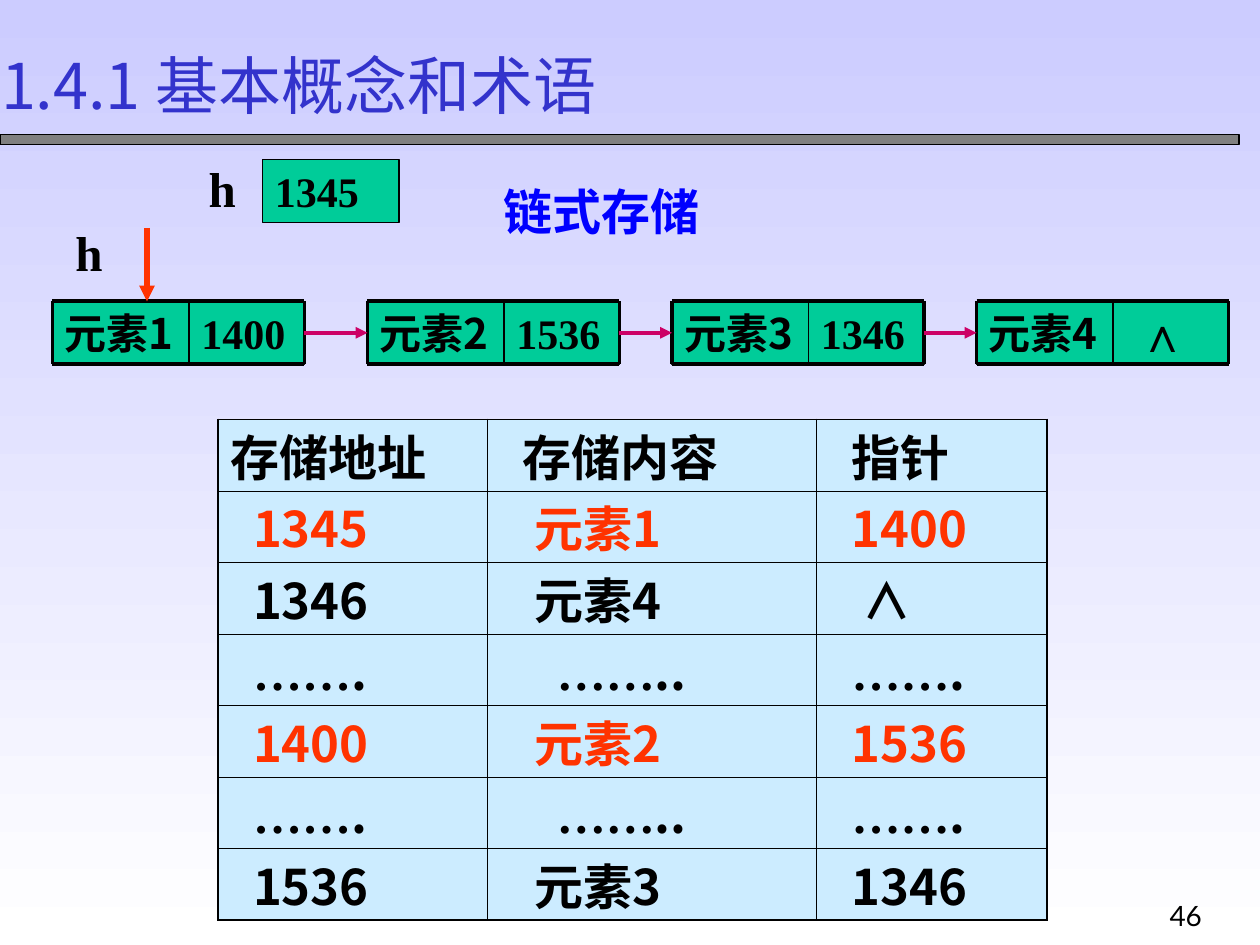
from lxml import etree
from pptx import Presentation
from pptx import util as u
from pptx.dml.color import RGBColor
from pptx.enum import shapes, text
from pptx.oxml import ns

BLACK = RGBColor(0x00, 0x00, 0x00)
GREY = RGBColor(0x80, 0x80, 0x80)
GREEN = RGBColor(0x00, 0xCC, 0x99)
PINK = RGBColor(0xCC, 0x00, 0x66)
RED = RGBColor(0xFF, 0x33, 0x00)
BLUE = RGBColor(0x00, 0x00, 0xFF)
INDIGO = RGBColor(0x33, 0x33, 0xCC)
PALE_BLUE = RGBColor(0xCC, 0xEC, 0xFF)
LAVENDER = RGBColor(0xCC, 0xCC, 0xFF)
WHITE = RGBColor(0xFF, 0xFF, 0xFF)
CJK = "Noto Sans CJK SC"
SERIF = "Times New Roman"

presentation = Presentation()
presentation.slide_width = u.Inches(10)
presentation.slide_height = u.Inches(7.5)
slide = presentation.slides.add_slide(presentation.slide_layouts[5])
unit = presentation.slide_width / 240

background = slide.background.fill
background.gradient()
background.gradient_angle = 270
for stop, color, position in zip(background.gradient_stops, (LAVENDER, WHITE), (0, 1)):
    stop.color.rgb = color
    stop.position = position


def add_run(paragraph, wording, size, font, color, bold=True):
    run = paragraph.add_run()
    run.text = wording
    run.font.size = u.Pt(size)
    run.font.name = font
    run.font.bold = bold
    run.font.color.rgb = color
    east_asian = etree.SubElement(run.font._element, ns.qn("a:ea"))
    east_asian.set("typeface", font)


def add_line(start, end, color, width, arrow=False):
    ends = [round(value * unit) for value in (*start, *end)]
    line = slide.shapes.add_connector(shapes.MSO_CONNECTOR.STRAIGHT, *ends)
    line.line.color.rgb = color
    line.line.width = u.Pt(width)
    etree.SubElement(line._element.spPr, ns.qn("a:effectLst"))
    if arrow:
        etree.SubElement(line.line._get_or_add_ln(), ns.qn("a:tailEnd")).set("type", "triangle")
    return line


NODE_TOP, NODE_HEIGHT, DATA_WIDTH, POINTER_WIDTH = 57.4, 12, 26, 22
NODE_BOTTOM = NODE_TOP + NODE_HEIGHT
NODES = [(10, "元素1", "1400"), (70, "元素2", "1536"), (128, "元素3", "1346"), (186, "元素4", "∧")]

boxes = [(0, 25.6, 236, 2, GREY, "", 24, SERIF, 0)]
for left, element, pointer in NODES:
    size, indent = (28, 0.1) if pointer == "∧" else (24, 0)
    boxes.append((left + DATA_WIDTH, NODE_TOP, POINTER_WIDTH, NODE_HEIGHT, GREEN, pointer, size, SERIF, indent))
    boxes.append((left, NODE_TOP, DATA_WIDTH, NODE_HEIGHT, GREEN, element, 24, CJK, 0))
boxes.append((50, 30.4, DATA_WIDTH, NODE_HEIGHT, GREEN, "1345", 24, SERIF, 0))

cells = {}
for left, top, width, height, color, wording, size, font, indent in boxes:
    box = slide.shapes.add_shape(
        shapes.MSO_SHAPE.RECTANGLE, *[round(value * unit) for value in (left, top, width, height)]
    )
    box.shadow.inherit = False
    box.fill.solid()
    box.fill.fore_color.rgb = color
    box.line.color.rgb = BLACK
    box.line.width = u.Pt(0.75)
    if wording:
        frame = box.text_frame
        frame.word_wrap = True
        frame.margin_left = u.Inches(0.1 + indent)
        frame.margin_right = 0
        frame.vertical_anchor = text.MSO_ANCHOR.MIDDLE
        frame.paragraphs[0].alignment = text.PP_ALIGN.LEFT
        add_run(frame.paragraphs[0], wording, size, font, BLACK)
        cells[left, top] = box

for left, element, pointer in NODES:
    right = left + DATA_WIDTH + POINTER_WIDTH
    for y in (NODE_TOP, NODE_BOTTOM):
        add_line((left, y), (right, y), BLACK, 2.25)
    for x, width in ((left, 2.25), (left + DATA_WIDTH, 1), (right, 2.25)):
        add_line((x, NODE_TOP), (x, NODE_BOTTOM), BLACK, width)

middle = NODE_TOP + NODE_HEIGHT / 2
for (left, *_), (next_left, *_) in zip(NODES, NODES[1:]):
    pointer_left = left + DATA_WIDTH
    arrow = add_line((pointer_left + POINTER_WIDTH, middle), (next_left, middle), PINK, 2.25, True)
    arrow.begin_connect(cells[pointer_left, NODE_TOP], 3)
    arrow.end_connect(cells[next_left, NODE_TOP], 1)
add_line((28, 43.4), (28, NODE_TOP), RED, 3, True)

DOTS = "……"
ROWS = [
    [("存储地址", 0), ("存储内容", 2), ("指针", 2)],
    [("1345", 2), ("元素1", 3), ("1400", 2)],
    [("1346", 2), ("元素4", 3), ("∧", 3)],
    [(DOTS + ".", 2), (DOTS + "..", 5), (DOTS + ".", 2)],
    [("1400", 2), ("元素2", 3), ("1536", 2)],
    [(DOTS + ".", 2), (DOTS + "..", 5), (DOTS + ".", 2)],
    [("1536", 2), ("元素3", 3), ("1346", 2)],
]
RED_ROWS = (1, 4)
SPACE = 0.09
COLUMNS = (51.4, 62.6, 44)
table = slide.shapes.add_table(
    len(ROWS), len(COLUMNS), *[round(value * unit) for value in (41.5, 79.9, sum(COLUMNS), 95.4)]
).table
table.first_row = False
table.horz_banding = False
for column, width in zip(table.columns, COLUMNS):
    column.width = round(width * unit)
for r, row in enumerate(ROWS):
    for c, (wording, spaces) in enumerate(row):
        cell = table.cell(r, c)
        cell.margin_left = u.Inches(0.1 + spaces * SPACE)
        cell.margin_top = cell.margin_bottom = 0
        properties = cell._tc.get_or_add_tcPr()
        outer_sides = {"lnL": c == 0, "lnR": c == len(COLUMNS) - 1, "lnT": r == 0, "lnB": r == len(ROWS) - 1}
        for side, outer in outer_sides.items():
            border = etree.SubElement(properties, ns.qn(f"a:{side}"), w=str(u.Pt(1.08 if outer else 0.45)))
            fill = etree.SubElement(border, ns.qn("a:solidFill"))
            etree.SubElement(fill, ns.qn("a:srgbClr"), val=str(BLACK))
        cell.fill.solid()
        cell.fill.fore_color.rgb = PALE_BLUE
        paragraph = cell.text_frame.paragraphs[0]
        color = RED if r in RED_ROWS else BLACK
        if wording.startswith(DOTS):
            add_run(paragraph, DOTS, 28, SERIF, color)
            wording = wording[len(DOTS):]
        add_run(paragraph, wording, 28, CJK, color)

LABELS = [
    (12, 41.3, 10, 13.7, "h", 28, SERIF, BLACK, True),
    (93.6, 33.4, 45, 13.7, "链式存储", 28, CJK, BLUE, True),
    (37.4, 29, 10, 13.7, "h", 28, SERIF, BLACK, True),
    (220.4, 170, 18, 10, "46", 16, "Lato", BLACK, False),
]
for left, top, width, height, wording, size, font, color, bold in LABELS:
    label = slide.shapes.add_textbox(*[round(value * unit) for value in (left, top, width, height)])
    label.text_frame.word_wrap = True
    add_run(label.text_frame.paragraphs[0], wording, size, font, color, bold)

title = slide.shapes.title
title.left, title.top, title.width, title.height = [round(value * unit) for value in (-2.2, 7.7, 135, 16.8)]
title.text_frame.vertical_anchor = text.MSO_ANCHOR.MIDDLE
title.text_frame.paragraphs[0].alignment = text.PP_ALIGN.LEFT
add_run(title.text_frame.paragraphs[0], "1.4.1 基本概念和术语", 36, CJK, INDIGO, False)

presentation.save("out.pptx")
